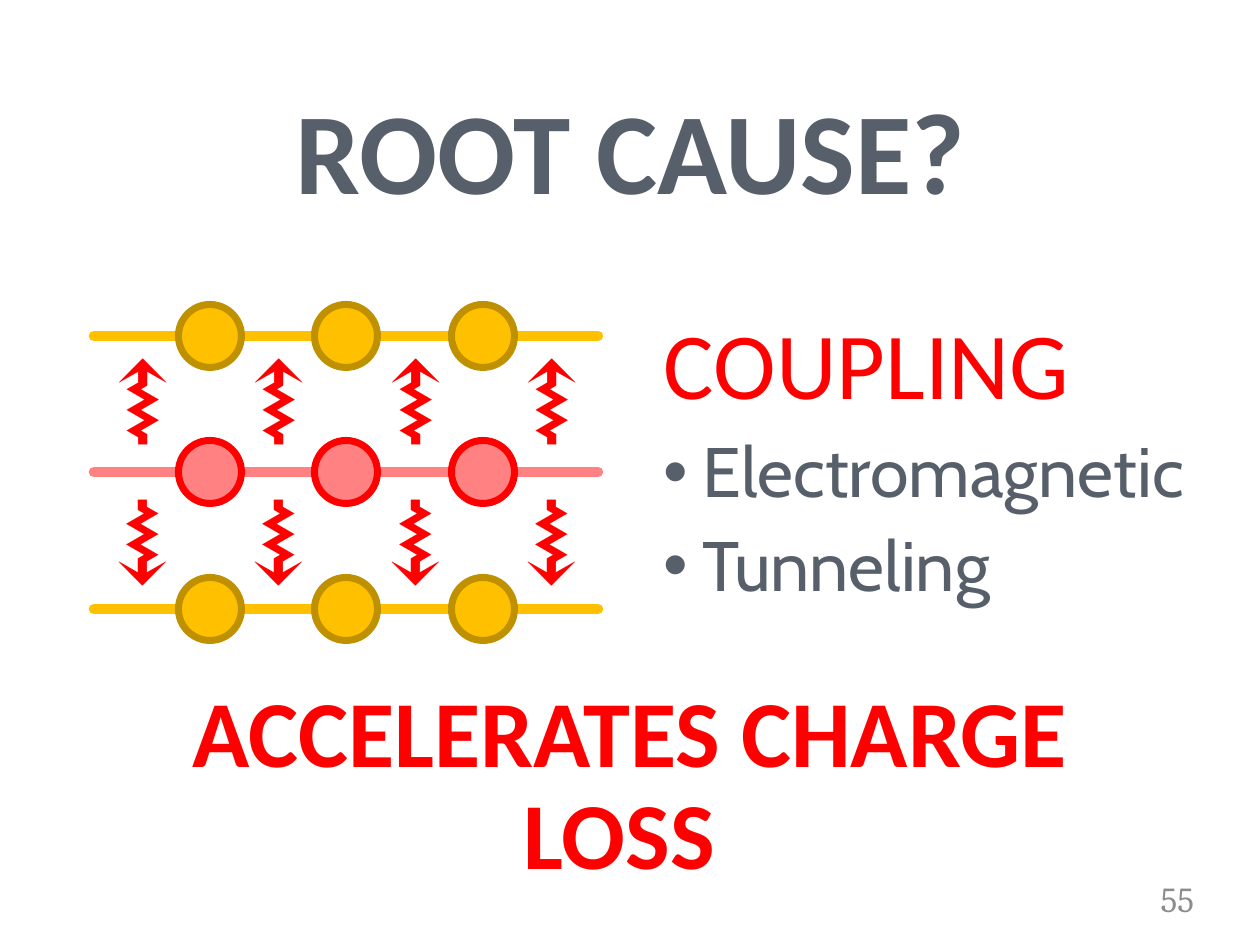
from dataclasses import dataclass

from lxml.etree import SubElement
from pptx import Presentation
from pptx.dml.color import RGBColor
from pptx.enum.shapes import MSO_CONNECTOR, MSO_SHAPE
from pptx.enum.text import MSO_ANCHOR, PP_ALIGN
from pptx.oxml.ns import qn
from pptx.util import Pt


@dataclass(frozen=True)
class Theme:
    red: str = "FF0000"
    pink: str = "FF8181"
    gold: str = "FFC000"
    dark_gold: str = "BF9000"
    slate: str = "565F6A"
    grey: str = "8C8C8C"
    heading: str = "Calibri"
    body: str = "Cabin"
    symbol: str = "Cambria"
    title_size: int = 66
    heading_size: int = 54
    body_size: int = 40
    number_size: int = 20
    wire_width: int = 6
    ring_width: int = 4


T = Theme()

# Content
TITLE = "ROOT CAUSE?"
CAUSE = "COUPLING"
MECHANISMS = ["Electromagnetic", "Tunneling"]
EFFECT = "ACCELERATES CHARGE LOSS "
PAGE = "55"
ARROW = "⇝"
WIRES = [(T.gold, T.dark_gold), (T.pink, T.red), (T.gold, T.dark_gold)]  # fill, ring
ARROW_ROWS = [(404, 270, 16), (541, 90, 19)]  # centre y, rotation, bottom inset

# Layout in px, 126 to the inch
PX = 914400 / 126
WIDTH, HEIGHT = 1260, 945
WIRE_LEFT, WIRE_RIGHT, WIRE_TOP = 94, 598, 336
CELL_LEFT, CELL_SIZE, CELLS = 210, 63, 3
ARROW_LEFT, ARROW_W, ARROW_H = 142, 94, 42
BULLET_INDENT = 39
INSETS = (13, 6, 13, 6)


def emu(px):
    return round(px * PX)


def steps(start, count):
    """Centres on the lattice, whose pitch is 273 px for every two steps."""
    return [start + i * 273 // 2 for i in range(count)]


def rgb(color):
    return RGBColor.from_string(color)


def add_text(s, box, lines, align=PP_ALIGN.LEFT, insets=INSETS, spacing=0.9, rotation=0):
    """Each line is (text, font, size, color, bold, bulleted)."""
    sp = s.shapes.add_textbox(*map(emu, box))
    sp.rotation = rotation
    tf = sp.text_frame
    tf.word_wrap = True
    tf.vertical_anchor = MSO_ANCHOR.MIDDLE
    tf.margin_left, tf.margin_top, tf.margin_right, tf.margin_bottom = map(emu, insets)
    for i, (text, font, size, color, bold, bulleted) in enumerate(lines):
        p = tf.add_paragraph() if i else tf.paragraphs[0]
        p.alignment = align
        p.line_spacing = spacing
        if i:
            p.space_before = Pt(10)
        if bulleted:
            pPr = p._p.get_or_add_pPr()
            pPr.set("marL", str(emu(BULLET_INDENT)))
            pPr.set("indent", str(-emu(BULLET_INDENT)))
            SubElement(pPr, qn("a:buFont")).set("typeface", "Arial")
            SubElement(pPr, qn("a:buChar")).set("char", "•")
        r = p.add_run()
        r.text = text
        r.font.name, r.font.size, r.font.bold = font, Pt(size), bold
        r.font.color.rgb = rgb(color)


def add_wire(s, y, color):
    ln = s.shapes.add_connector(
        MSO_CONNECTOR.STRAIGHT, emu(WIRE_LEFT), emu(y), emu(WIRE_RIGHT), emu(y))
    ln.line.color.rgb = rgb(color)
    ln.line.width = Pt(T.wire_width)
    ln.line._get_or_add_ln().set("cap", "rnd")
    SubElement(ln._element.spPr, qn("a:effectLst"))


def add_cell(s, x, y, fill, ring):
    half = CELL_SIZE / 2
    sp = s.shapes.add_shape(
        MSO_SHAPE.OVAL, emu(x - half), emu(y - half), emu(CELL_SIZE), emu(CELL_SIZE))
    sp.shadow.inherit = False
    sp.fill.solid()
    sp.fill.fore_color.rgb = rgb(fill)
    sp.line.color.rgb = rgb(ring)
    sp.line.width = Pt(T.ring_width)


def main():
    prs = Presentation()
    prs.slide_width, prs.slide_height = emu(WIDTH), emu(HEIGHT)
    s = prs.slides.add_slide(prs.slide_layouts[6])

    add_text(s, (53, 94, 1155, 126),
             [(TITLE, T.heading, T.title_size, T.slate, True, False)], PP_ALIGN.CENTER)

    for y, (fill, ring) in zip(steps(WIRE_TOP, len(WIRES)), WIRES):
        add_wire(s, y, fill)
        for x in steps(CELL_LEFT, CELLS):
            add_cell(s, x, y, fill, ring)

    arrow = [(ARROW, T.symbol, T.title_size, T.red, False, False)]
    for y, rotation, bottom in ARROW_ROWS:
        for x in steps(ARROW_LEFT, CELLS + 1):
            add_text(s, (x - ARROW_W / 2, y - ARROW_H / 2, ARROW_W, ARROW_H), arrow,
                     PP_ALIGN.CENTER, (0, 0, 0, bottom), 1.0, rotation)

    add_text(s, (651, 252, 567, 420),
             [(CAUSE, T.heading, T.heading_size, T.red, False, False)]
             + [(m, T.body, T.body_size, T.slate, False, True) for m in MECHANISMS])
    add_text(s, (105, 725, 1050, 126),
             [(EFFECT, T.heading, T.heading_size, T.red, True, False)],
             PP_ALIGN.CENTER, (0, 0, 0, 0))
    add_text(s, (1113, 873, 94, 50),
             [(PAGE, T.symbol, T.number_size, T.grey, False, False)],
             PP_ALIGN.RIGHT, spacing=1.0)

    prs.save("out.pptx")


if __name__ == "__main__":
    main()
